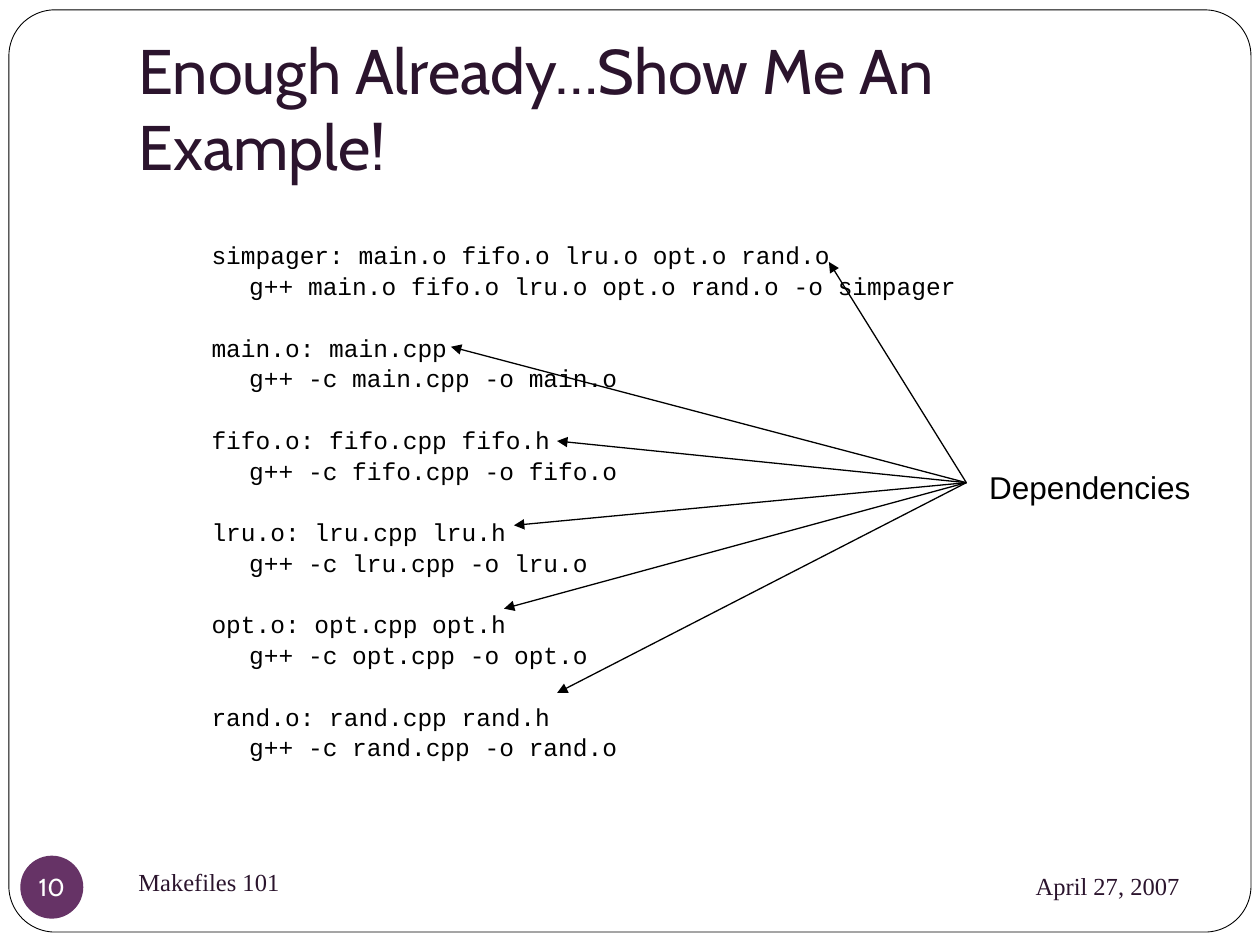
from typing import NamedTuple

from lxml.etree import SubElement
from pptx import Presentation
from pptx.dml.color import RGBColor
from pptx.enum.shapes import MSO_CONNECTOR as Link, MSO_SHAPE as Kind
from pptx.enum.text import MSO_ANCHOR as Anchor, MSO_AUTO_SIZE as Fit, PP_ALIGN as Align
from pptx.oxml.ns import qn
from pptx.util import Cm, Pt

DARK, PLUM, BLACK, WHITE = "2B142D", "663366", "000000", "FFFFFF"
PITCH = 17.58  # points from one code line to the next
LEAD = 5.8     # points above a code line


class Box(NamedTuple):
    left: float
    top: float
    width: float
    height: float


class Rule(NamedTuple):
    head: str
    command: str
    tip: tuple[float, float]


RULES = [
    Rule("simpager: main.o fifo.o lru.o opt.o rand.o",
         "g++ main.o fifo.o lru.o opt.o rand.o -o simpager", (16.71, 5.28)),
    Rule("main.o: main.cpp", "g++ -c main.cpp -o main.o", (9.09, 6.99)),
    Rule("fifo.o: fifo.cpp fifo.h", "g++ -c fifo.cpp -o fifo.o", (11.23, 8.89)),
    Rule("lru.o: lru.cpp lru.h", "g++ -c lru.cpp -o lru.o", (10.36, 10.59)),
    Rule("opt.o: opt.cpp opt.h", "g++ -c opt.cpp -o opt.o", (10.16, 12.27)),
    Rule("rand.o: rand.cpp rand.h", "g++ -c rand.cpp -o rand.o", (11.23, 13.97)),
]
HUB = (19.48, 9.73)


def paint(target, color: str) -> None:
    """Give a fill or a line one solid colour."""
    fill = getattr(target, "fill", target)
    fill.solid()
    fill.fore_color.rgb = RGBColor.from_string(color)


def place(shape, box: Box) -> None:
    shape.left, shape.top, shape.width, shape.height = map(Cm, box)


def write(para, text: str, *, font: str, size: float, color: str,
          align=Align.LEFT) -> None:
    para.alignment = align
    run = para.add_run()
    run.text = text
    run.font.name, run.font.size = font, Pt(size)
    run.font.color.rgb = RGBColor.from_string(color)


def label(slide, box: Box, text: str, *, anchor=Anchor.MIDDLE, wrap=True, **style) -> None:
    shape = slide.shapes.add_textbox(*map(Cm, box))
    frame = shape.text_frame
    frame.word_wrap, frame.vertical_anchor = wrap, anchor
    write(frame.paragraphs[0], text, **style)


def plain(slide, kind, box: Box, color: str):
    """Add a preset shape with a solid fill and no shadow."""
    shape = slide.shapes.add_shape(kind, *map(Cm, box))
    shape.shadow.inherit = False
    paint(shape.fill, color)
    return shape


def border(slide) -> None:
    shape = plain(slide, Kind.ROUNDED_RECTANGLE, Box(0.18, 0.2, 25.04, 18.59), WHITE)
    shape.adjustments[0] = 0.05
    paint(shape.line, BLACK)
    shape.line.width = Pt(0.5)
    slide.shapes._spTree.insert(2, shape._element)  # behind the placeholders


def badge(slide, text: str) -> None:
    shape = plain(slide, Kind.OVAL, Box(0.41, 17.25, 1.27, 1.27), PLUM)
    shape.line.fill.background()
    frame = shape.text_frame
    frame.margin_left = frame.margin_right = frame.margin_top = frame.margin_bottom = 0
    frame.word_wrap, frame.vertical_anchor = False, Anchor.MIDDLE
    write(frame.paragraphs[0], text, font="Cabin", size=14, color=WHITE,
          align=Align.CENTER)


def code(frame, rules: list[Rule]) -> None:
    """List each rule with its command on a tab stop below it."""
    lines = [(text, LEAD + (PITCH if first and i else 0))
             for i, rule in enumerate(rules)
             for first, text in ((True, rule.head), (False, "\t" + rule.command))]
    for i, (text, space) in enumerate(lines):
        para = frame.add_paragraph() if i else frame.paragraphs[0]
        write(para, text, font="Courier New", size=14, color=BLACK)
        para.line_spacing, para.space_before = 0.7, Pt(space)
        props = para._p.get_or_add_pPr()
        props.set("marL", str(Cm(0.76)))
        props.set("indent", str(-Cm(0.76)))
        SubElement(props, qn("a:buNone"))


def arrow(slide, start: tuple[float, float], tip: tuple[float, float]) -> None:
    line = slide.shapes.add_connector(Link.STRAIGHT, *map(Cm, start + tip))
    paint(line.line, BLACK)
    line.line.width = Pt(0.75)
    SubElement(line.line._get_or_add_ln(), qn("a:tailEnd"), type="triangle")
    SubElement(line._element.spPr, qn("a:effectLst"))


def main() -> None:
    deck = Presentation()
    deck.slide_width, deck.slide_height = Cm(25.4), Cm(19.05)
    slide = deck.slides.add_slide(deck.slide_layouts[1])
    border(slide)

    title, body = slide.placeholders
    place(title, Box(2.54, 0.76, 21.59, 3.18))
    frame = title.text_frame
    frame.auto_size, frame.vertical_anchor = Fit.NONE, Anchor.BOTTOM
    frame.margin_bottom = Cm(0.25)
    write(frame.paragraphs[0], "Enough Already…Show Me An Example!",
          font="Cabin", size=36, color=DARK)

    serif = dict(font="Times New Roman", size=14, color=DARK)
    label(slide, Box(17.15, 17.2, 6.88, 1.32), "April 27, 2007", align=Align.RIGHT, **serif)
    label(slide, Box(2.54, 17.14, 11, 1.27), "Makefiles 101", **serif)
    badge(slide, "10")

    place(body, Box(4.01, 4.88, 17.35, 11.46))
    body.text_frame.auto_size = Fit.NONE
    code(body.text_frame, RULES)

    label(slide, Box(19.69, 9.32, 4.57, 1.02), "Dependencies", anchor=Anchor.TOP,
          wrap=False, font="Arial", size=18, color=BLACK)
    for rule in RULES:
        arrow(slide, HUB, rule.tip)
    deck.save("out.pptx")


if __name__ == "__main__":
    main()
